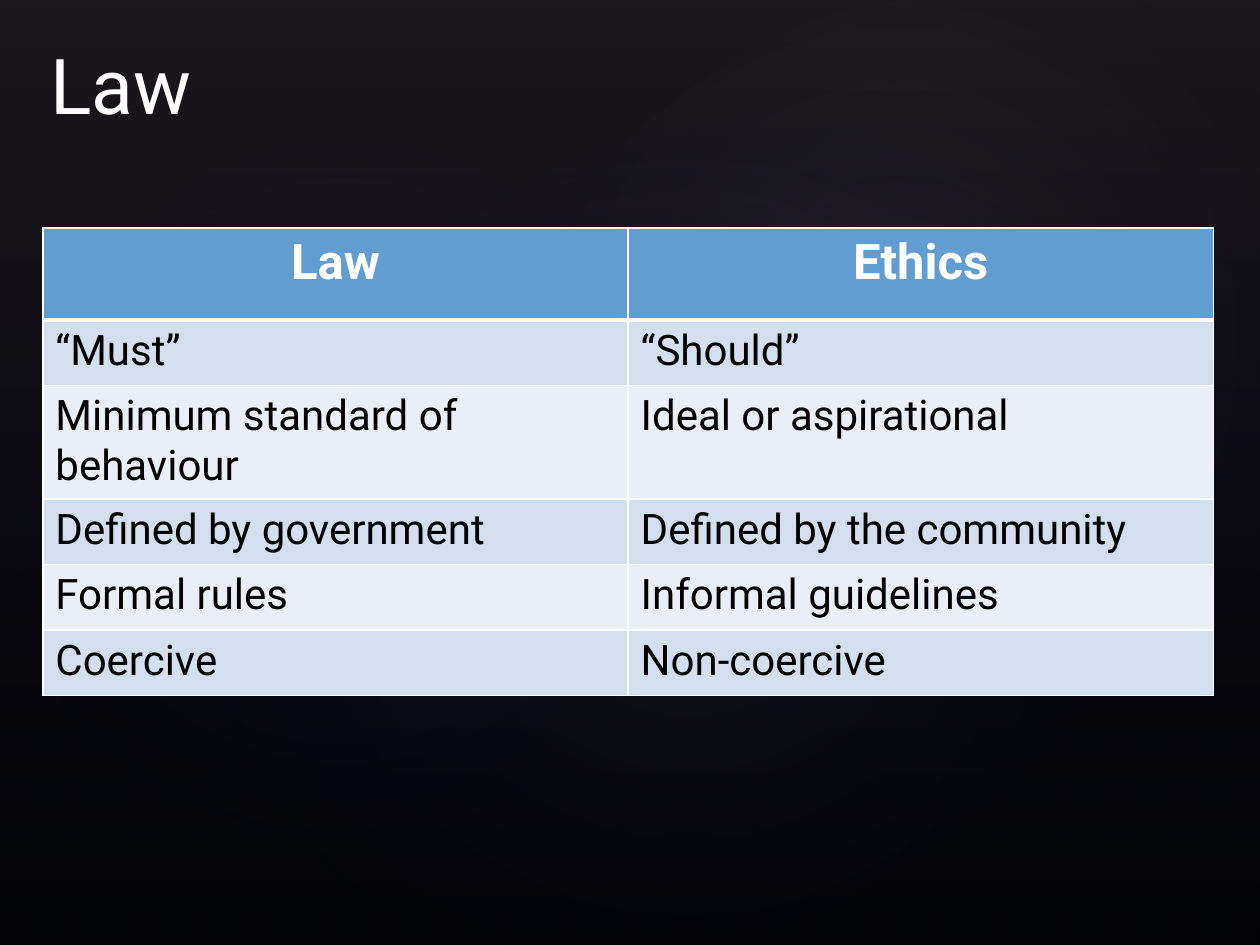
from lxml.etree import SubElement
from pptx import Presentation
from pptx.dml.color import RGBColor
from pptx.enum.shapes import MSO_SHAPE as Shape
from pptx.enum.text import MSO_ANCHOR as Anchor, PP_ALIGN as Align
from pptx.oxml import parse_xml
from pptx.oxml.ns import nsdecls, qn
from pptx.util import Inches, Pt

# Content
TITLE = "Law"
ROWS = [
    ("Law", "Ethics"),
    ("“Must”", "“Should”"),
    ("Minimum standard of behaviour", "Ideal or aspirational"),
    ("Defined by government", "Defined by the community"),
    ("Formal rules", "Informal guidelines"),
    ("Coercive", "Non-coercive"),
]

# Style
FONT = "Roboto"
BLACK = RGBColor(0x00, 0x00, 0x00)
WHITE = RGBColor(0xFF, 0xFF, 0xFF)
HEADER_BLUE = RGBColor(0x62, 0x9D, 0xD1)
BANDS = [RGBColor(0xEA, 0xEF, 0xF7), RGBColor(0xD3, 0xDF, 0xEE)]
DUSK = RGBColor(0x50, 0x46, 0x52)
NAVY = RGBColor(0x24, 0x28, 0x52)
MIST = RGBColor(0xC4, 0xBC, 0xC6)

# Layout in inches
WIDTH, HEIGHT = 10, 7.5
TABLE_LEFT, TABLE_TOP, TABLE_WIDTH = 0.34, 1.81, 9.29
HEADER_ROW, SINGLE_ROW, DOUBLE_ROW = 0.73, 0.52, 0.89
ROW_HEIGHTS = [HEADER_ROW, SINGLE_ROW, DOUBLE_ROW] + [SINGLE_ROW] * 3
# Glows: left, top, width, height, rotation, centre opacity in percent
GLOWS = [
    (1.5, 1.14, 7.92, 6.24, 328.7, 7),
    (-0.3, 1.28, 6.06, 4.9, 294.3, 8),
    (3.58, 0.13, 7.09, 5.2, 328.7, 8),
]
LINEAR = '<a:lin ang="5400000" scaled="0"/>'
RADIAL = ('<a:path path="circle"><a:fillToRect l="50000" t="50000" '
          'r="50000" b="50000"/></a:path>')


def add_gradient_shape(slide, kind, box, stops, direction):
    """Add a borderless shape; stops are (position %, colour, opacity %)."""
    shape = slide.shapes.add_shape(kind, *map(Inches, box))
    shape.shadow.inherit = False
    shape.line.fill.background()
    shape.fill.background()
    stop_xml = "".join(
        f'<a:gs pos="{position * 1000}"><a:srgbClr val="{color}">'
        f'<a:alpha val="{opacity * 1000}"/></a:srgbClr></a:gs>'
        for position, color, opacity in stops)
    gradient = parse_xml(f'<a:gradFill {nsdecls("a")} rotWithShape="1">'
                         f'<a:gsLst>{stop_xml}</a:gsLst>{direction}</a:gradFill>')
    properties = shape._element.spPr
    properties.replace(properties.find(qn("a:noFill")), gradient)
    return shape


def set_borders(cell, bottom_width, top_width):
    """Draw white cell borders, placed ahead of the cell's fill."""
    properties = cell._tc.get_or_add_tcPr()
    widths = {"lnL": 1, "lnR": 1, "lnT": top_width, "lnB": bottom_width}
    for side, width in widths.items():
        border = SubElement(properties, qn(f"a:{side}"), w=str(Pt(width)))
        solid = SubElement(border, qn("a:solidFill"))
        SubElement(solid, qn("a:srgbClr"), val=str(WHITE))


def style_text(paragraph, size, color, bold=False):
    font = paragraph.font if not paragraph.runs else paragraph.runs[0].font
    font.name, font.size, font.bold = FONT, Pt(size), bold
    font.color.rgb = color


prs = Presentation()
prs.slide_width, prs.slide_height = Inches(WIDTH), Inches(HEIGHT)
slide = prs.slides.add_slide(prs.slide_layouts[6])

# Dark backdrop with soft glows
slide.background.fill.solid()
slide.background.fill.fore_color.rgb = BLACK
add_gradient_shape(slide, Shape.RECTANGLE, (0, 0, WIDTH, HEIGHT),
                   [(0, DUSK, 36), (100, NAVY, 10)], LINEAR)
for *box, rotation, opacity in GLOWS:
    glow = add_gradient_shape(slide, Shape.OVAL, box,
                              [(0, MIST, opacity), (58, NAVY, 0)], RADIAL)
    glow.rotation = rotation

# Title
title = slide.shapes.add_textbox(0, Inches(0.02), Inches(WIDTH), Inches(1.06))
title_frame = title.text_frame
title_frame.word_wrap = True
title_frame.vertical_anchor = Anchor.BOTTOM
title_frame.margin_left = Inches(0.4)
title_frame.text = TITLE
style_text(title_frame.paragraphs[0], 44, WHITE)

# Comparison table
table = slide.shapes.add_table(
    len(ROWS), len(ROWS[0]), Inches(TABLE_LEFT), Inches(TABLE_TOP),
    Inches(TABLE_WIDTH), Inches(sum(ROW_HEIGHTS))).table
for column in table.columns:
    column.width = Inches(TABLE_WIDTH / len(ROWS[0]))
for r, (texts, height) in enumerate(zip(ROWS, ROW_HEIGHTS)):
    table.rows[r].height = Inches(height)
    is_header = r == 0
    for c, text in enumerate(texts):
        cell = table.cell(r, c)
        set_borders(cell, bottom_width=3 if is_header else 1,
                    top_width=3 if r == 1 else 1)
        cell.fill.solid()
        cell.fill.fore_color.rgb = HEADER_BLUE if is_header else BANDS[r % 2]
        cell.text_frame.text = text
        paragraph = cell.text_frame.paragraphs[0]
        if is_header:
            paragraph.alignment = Align.CENTER
            style_text(paragraph, 28, WHITE, bold=True)
        else:
            style_text(paragraph, 24, BLACK)

prs.save("out.pptx")
